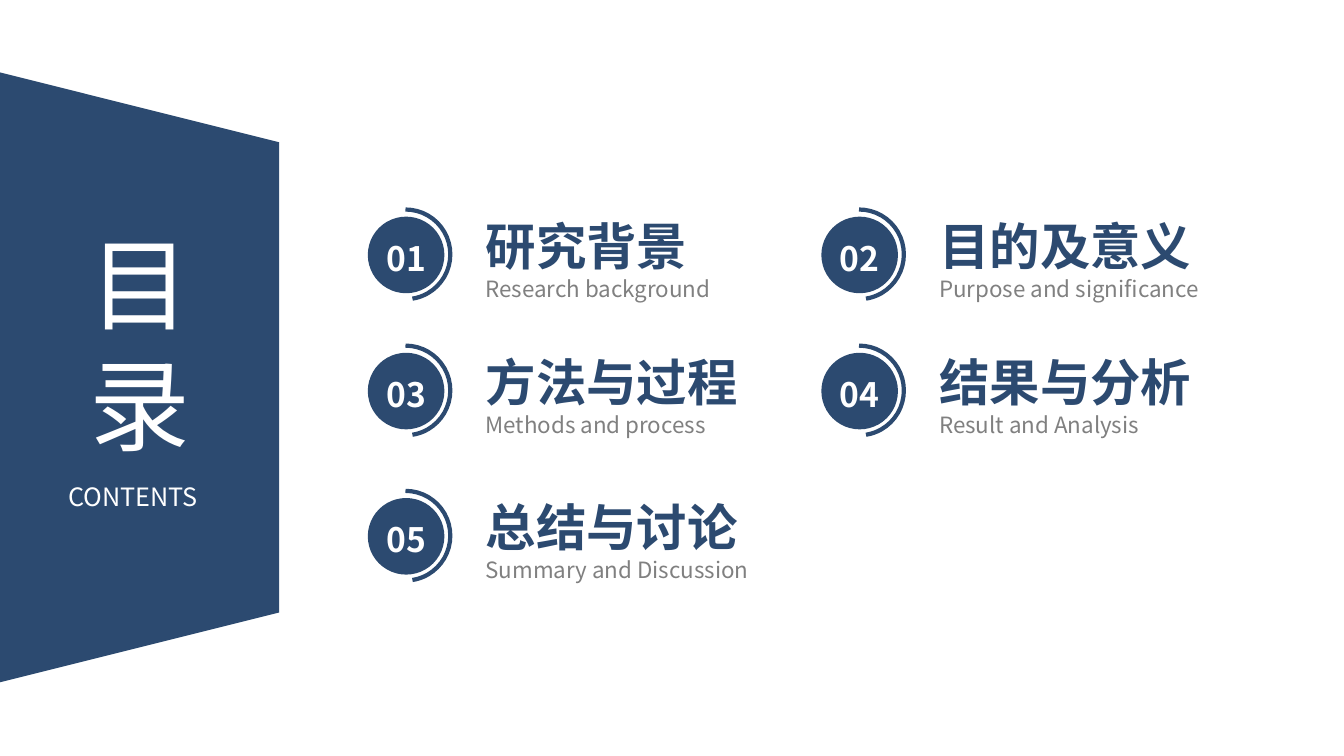
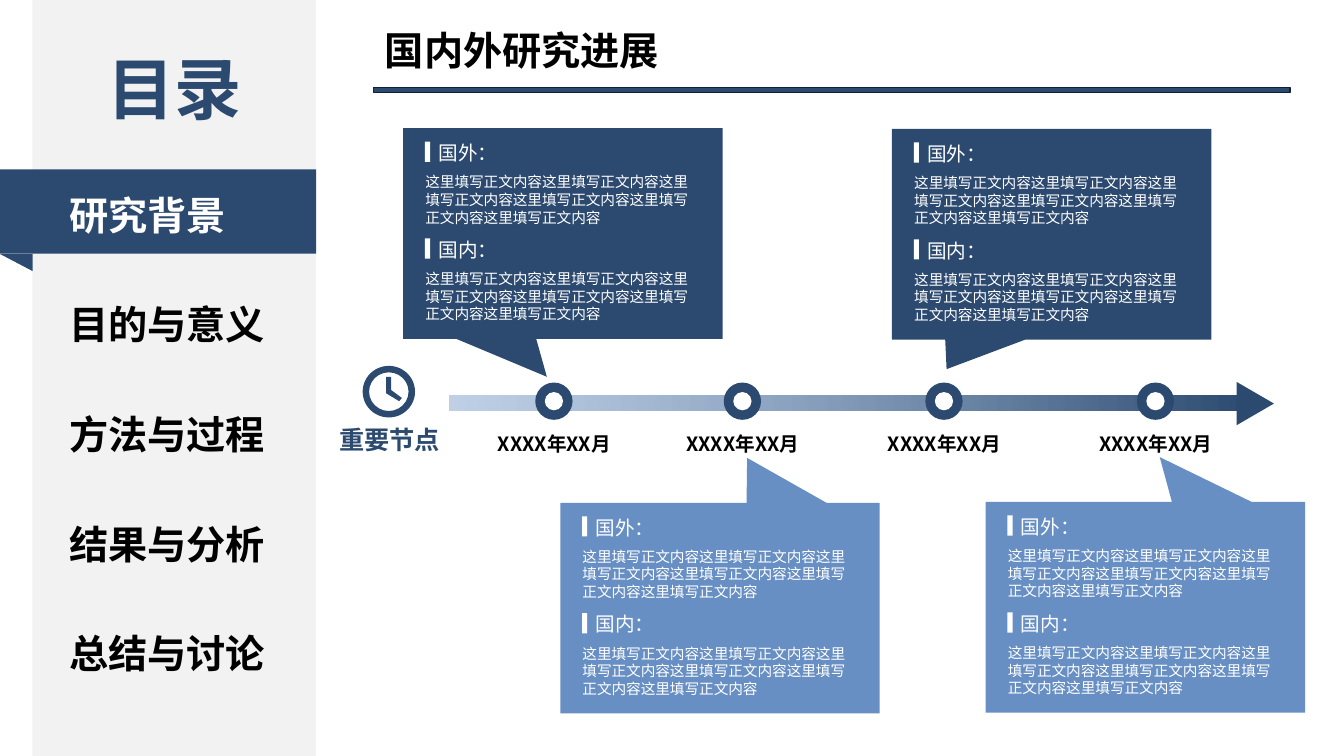
from lxml import etree
from pptx import Presentation
from pptx.dml.color import RGBColor
from pptx.enum.shapes import MSO_SHAPE
from pptx.enum.text import MSO_ANCHOR, MSO_AUTO_SIZE, PP_ALIGN
from pptx.oxml.ns import qn
from pptx.util import Cm, Pt

NAVY = RGBColor(0x2C, 0x4A, 0x70)
BLUE = RGBColor(0x67, 0x8F, 0xC3)
PALE = RGBColor(0x80, 0xA2, 0xCD)
EDGE = RGBColor(0x13, 0x20, 0x31)
GRAY = RGBColor(0x80, 0x80, 0x80)
MIST = RGBColor(0xF2, 0xF2, 0xF2)
WHITE = RGBColor(0xFF, 0xFF, 0xFF)
BLACK = RGBColor(0, 0, 0)

RECT = MSO_SHAPE.RECTANGLE
OVAL = MSO_SHAPE.OVAL
ARC = MSO_SHAPE.ARC
RING = MSO_SHAPE.DONUT
TRAP = MSO_SHAPE.TRAPEZOID
TRI = MSO_SHAPE.ISOSCELES_TRIANGLE
FOLD = MSO_SHAPE.RIGHT_TRIANGLE
CALL = MSO_SHAPE.RECTANGULAR_CALLOUT
TOP, MID = MSO_ANCHOR.TOP, MSO_ANCHOR.MIDDLE
LEFT, CENTER = PP_ALIGN.LEFT, PP_ALIGN.CENTER

FONT = "Noto Sans CJK SC"
LINE = 1.2
DROP = 0.08
BODY = "这里填写正文内容" * 6
TOPICS = [
    ("研究背景", "Research background"),
    ("目的及意义", "Purpose and significance"),
    ("方法与过程", "Methods and process"),
    ("结果与分析", "Result and Analysis"),
    ("总结与讨论", "Summary and Discussion"),
]
ROWS = [5.28, 8.71, 12.37]
STEPS = ["目的与意义", "方法与过程", "结果与分析", "总结与讨论"]
NODES = [13.49, 18.24, 23.32, 28.65]
CALLS = [
    (10.16, 3.23, NAVY, -0.05, 0.68),
    (14.12, 12.67, BLUE, 0.085, -0.713),
    (22.48, 3.25, NAVY, -0.329, 0.64),
    (24.84, 12.65, BLUE, 0.045, -0.713),
]
HAND = [(9.73, 9.5), (9.86, 9.5), (9.86, 9.83), (10.13, 10.03), (10.06, 10.11), (9.73, 9.91)]


def style(para, size, color, bold=False, align=LEFT):
    para.alignment = align
    para.line_spacing = Pt(size * LINE)
    para.space_before = para.space_after = Pt(0)
    for run in para.runs:
        font = run.font
        font.name, font.size, font.bold = FONT, Pt(size), bold
        font.color.rgb = color
        etree.SubElement(run._r.rPr, qn("a:ea")).set("typeface", FONT)


def frame(shape, size, anchor=TOP):
    box = shape.text_frame
    box.word_wrap = True
    box.auto_size = MSO_AUTO_SIZE.NONE
    box.vertical_anchor = anchor
    box.margin_left = box.margin_right = Cm(0.25)
    shift = DROP * size * (2 if anchor == MID else 1)
    box.margin_top = Cm(0.13) + Pt(shift)
    box.margin_bottom = Cm(0.13)
    return box


def write(shape, text, size, color, bold=False, align=LEFT, anchor=TOP):
    box = frame(shape, size, anchor)
    box.text = text
    style(box.paragraphs[0], size, color, bold, align)
    return box


def label(slide, area, *look):
    shape = slide.shapes.add_textbox(*map(Cm, area))
    return write(shape, *look)


def lift(slide, shape, area):
    shape.left, shape.top, shape.width, shape.height = map(Cm, area)
    slide.shapes._spTree.append(shape._element)
    return shape


def finish(shape, color):
    shape.shadow.inherit = False
    shape.fill.solid()
    shape.fill.fore_color.rgb = color
    shape.line.fill.background()
    return shape


def draw(slide, kind, area, color, turn=0):
    shape = finish(slide.shapes.add_shape(kind, *map(Cm, area)), color)
    shape.rotation = turn
    return shape


def topic(slide, left, top, num, name, note):
    disc = draw(slide, OVAL, (left + 0.18, top + 0.18, 1.93, 1.93), NAVY)
    box = write(disc, f"{num:02}", 24, WHITE, True, CENTER, MID)
    box.margin_left = box.margin_right = 0
    box = label(slide, (left + 2.9, top - 0.1, 9.6, 2.5), name, 36, NAVY, True)
    para = box.add_paragraph()
    para.text = note
    style(para, 16, GRAY)
    arc = draw(slide, ARC, (left, top, 2.26, 2.26), NAVY)
    arc.fill.background()
    arc.adjustments[1] = 48.638
    arc.line.color.rgb = NAVY
    arc.line.width = Pt(3)


def agenda(slide, shape):
    box = frame(shape, 28)
    box.text = "\n".join(STEPS)
    for pos, para in enumerate(box.paragraphs):
        props = para._p.get_or_add_pPr()
        props.set("marL", "0")
        props.set("indent", "0")
        etree.SubElement(props, qn("a:buNone"))
        style(para, 28, BLACK, True)
        if pos:
            para.space_before = Pt(44.7)


def axis(slide):
    bar = draw(slide, RECT, (11.33, 9.98, 20.24, 0.36), NAVY)
    bar.fill.gradient()
    bar.fill.gradient_angle = 0
    for stop, color in zip(bar.fill.gradient_stops, (PALE, NAVY)):
        stop.color.rgb = color
    start = bar._element.spPr.find(".//" + qn("a:srgbClr"))
    etree.SubElement(start, qn("a:alpha")).set("val", "50000")
    draw(slide, TRI, (31.09, 9.7, 1.09, 0.94), NAVY, 90)


def node(slide, left):
    draw(slide, OVAL, (left, 9.64, 0.94, 0.94), NAVY)
    draw(slide, OVAL, (left + 0.24, 9.88, 0.46, 0.46), WHITE)
    label(slide, (left - 1.73, 10.72, 4.42, 0.86), "XXXX年XX月", 14, BLACK, True, CENTER)


def callout(slide, left, top, color, *tip):
    shape = draw(slide, CALL, (left, top, 8.05, 5.31), color)
    for pos, value in enumerate(tip):
        shape.adjustments[pos] = value
    for pos, head in enumerate(("国外：", "国内：")):
        base = top + 2.44 * pos
        label(slide, (left + 0.64, base + 0.15, 2.26, 0.86), head, 14, WHITE)
        draw(slide, RECT, (left + 0.55, base + 0.34, 0.13, 0.51), WHITE)
        label(slide, (left + 0.31, base + 0.97, 7.39, 1.6), BODY, 10.5, WHITE)


def clock(slide):
    ring = draw(slide, RING, (9.14, 9.22, 1.32, 1.3), NAVY)
    ring.adjustments[0] = 0.125
    first, *rest = [(Cm(x), Cm(y)) for x, y in HAND]
    path = slide.shapes.build_freeform(*first)
    path.add_line_segments(rest)
    finish(path.convert_to_shape(), NAVY)


def contents(deck):
    slide = deck.slides.add_slide(deck.slide_layouts[5])
    draw(slide, TRAP, (-4.17, 5.99, 15.37, 7.04), NAVY, 90)
    title = lift(slide, slide.shapes.title, (1.24, 5.26, 4.55, 6.4))
    write(title, "目录", 72, WHITE, False, CENTER)
    label(slide, (1.47, 11.94, 4.09, 1.02), "CONTENTS", 18, WHITE)
    for pos, (name, note) in enumerate(TOPICS):
        row, col = divmod(pos, 2)
        topic(slide, 9.09 + 11.43 * col, ROWS[row], pos + 1, name, note)


def progress(deck):
    slide = deck.slides.add_slide(deck.slide_layouts[1])
    steps = slide.placeholders[1]
    draw(slide, RECT, (0.82, 0, 7.14, 19.05), MIST)
    agenda(slide, lift(slide, steps, (1.5, 7.37, 5.61, 9.73)))
    label(slide, (1.93, 0.94, 4.93, 2.31), "目录", 48, NAVY, True, CENTER)
    rule = draw(slide, RECT, (9.42, 2.21, 23.09, 0.13), NAVY)
    rule.line.color.rgb = EDGE
    rule.line.width = Pt(1)
    title = lift(slide, slide.shapes.title, (9.45, 0.46, 12.52, 1.45))
    write(title, "国内外研究进展", 28, BLACK, True)
    axis(slide)
    for left in NODES:
        node(slide, left)
    for spot in CALLS:
        callout(slide, *spot)
    clock(slide)
    label(slide, (7.98, 10.52, 3.68, 1.02), "重要节点", 18, NAVY, True, CENTER)
    band = draw(slide, RECT, (0, 4.27, 7.97, 2.12), NAVY)
    box = write(band, "研究背景", 28, WHITE, True, LEFT, MID)
    box.margin_left = Cm(1.75)
    draw(slide, FOLD, (0, 6.4, 0.82, 0.43), NAVY, 180)


def main():
    deck = Presentation()
    deck.slide_width, deck.slide_height = Cm(33.87), Cm(19.05)
    contents(deck)
    progress(deck)
    deck.save("out.pptx")


if __name__ == "__main__":
    main()
